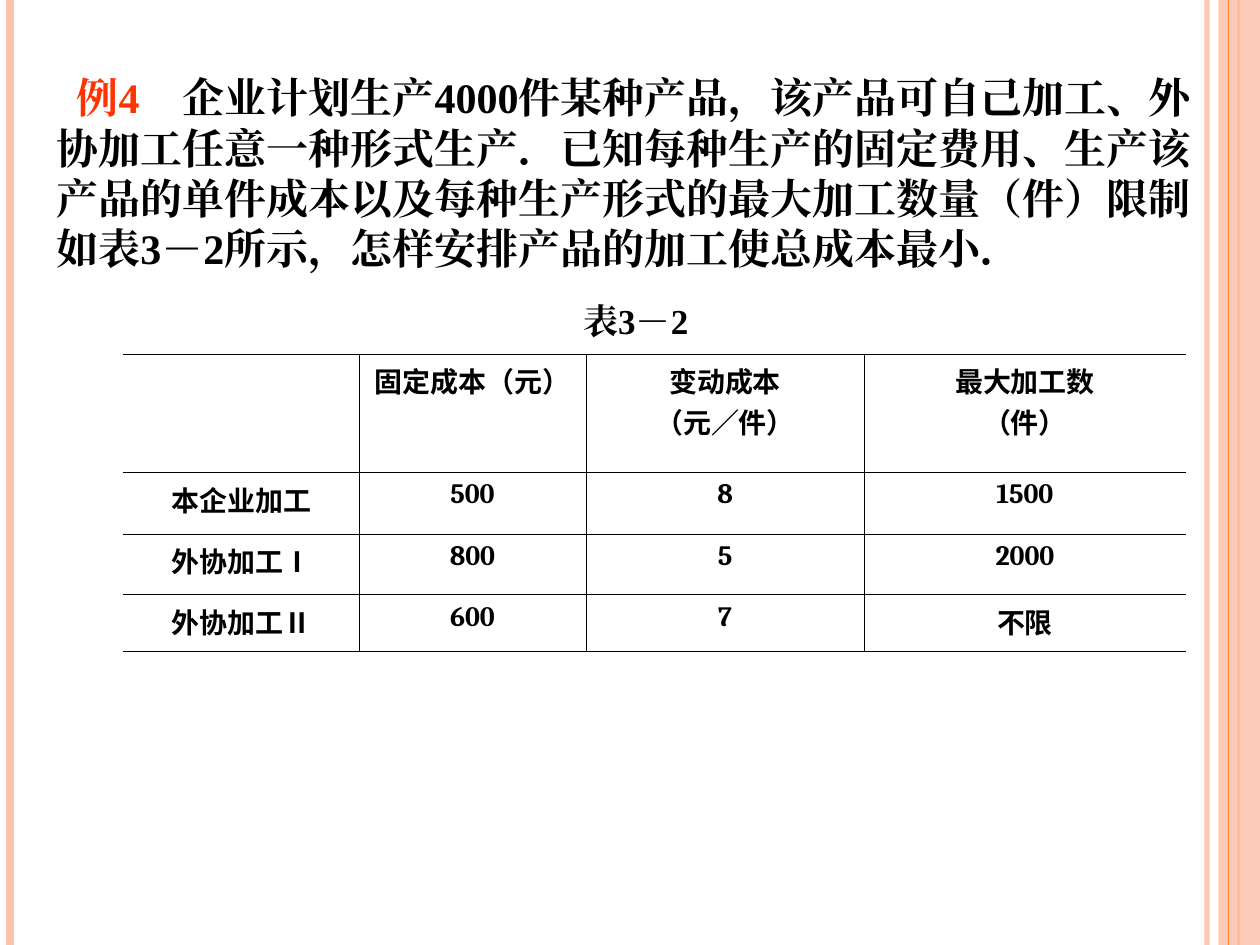
from lxml import etree
from pptx import Presentation
from pptx import util as u
from pptx.dml.color import RGBColor
from pptx.enum import shapes, text
from pptx.oxml.ns import qn

COLORS = {"peach": "FEC3AE", "orange": "FE8637", "red": "FF3300", "black": "000000"}
SERIF = "Times New Roman"
TABLE_FONT = "Cambria"
CHINESE = "Noto Sans CJK SC"

RULES = [
    (9.58, "peach", 3, 93),
    (0.08, "peach", 4.5, 100),
    (9.83, "orange", 1.5, 100),
]
PROBLEM = (
    "企业计划生产4000件某种产品，该产品可自己加工、外协加工任意一种形式生产．"
    "已知每种生产的固定费用、生产该产品的单件成本以及每种生产形式的最大加工数量（件）"
    "限制如表3－2所示，怎样安排产品的加工使总成本最小．"
)
COLUMNS = [1.87, 1.8, 2.21, 2.55]
ROWS = [0.94, 0.49, 0.48, 0.45]
COSTS = [
    ["", "固定成本（元）", "变动成本\n（元／件）", "最大加工数\n（件）"],
    ["本企业加工", "500", "8", "1500"],
    ["外协加工Ⅰ", "800", "5", "2000"],
    ["外协加工Ⅱ", "600", "7", "不限"],
]


def rgb(name):
    return RGBColor.from_string(COLORS[name])


def set_alpha(element, percent):
    for color in element.iter(qn("a:srgbClr")):
        etree.SubElement(color, qn("a:alpha"), val=str(percent * 1000))


def add_rule(page, x, color, width, opacity=100):
    rule = page.shapes.add_connector(
        shapes.MSO_CONNECTOR.STRAIGHT, u.Inches(x), 0, u.Inches(x), u.Inches(7.5))
    rule.line.color.rgb = rgb(color)
    rule.line.width = u.Pt(width)
    properties = rule._element.spPr
    if opacity < 100:
        set_alpha(properties, opacity)
    etree.SubElement(properties, qn("a:effectLst"))


def add_band(page):
    band = page.shapes.add_shape(
        shapes.MSO_SHAPE.RECTANGLE, u.Inches(9.67), 0, u.Inches(0.33), u.Inches(7.5))
    band.shadow.inherit = False
    band.fill.solid()
    band.fill.fore_color.rgb = rgb("peach")
    set_alpha(band._element.spPr, 87)
    band.line.fill.background()


def add_span(para, words, size, color="black", latin=SERIF, asian=SERIF):
    span = para.add_run()
    span.text = words
    style = {"name": latin, "size": u.Pt(size), "bold": True}
    for key, value in style.items():
        setattr(span.font, key, value)
    span.font.color.rgb = rgb(color)
    etree.SubElement(span._r.get_or_add_rPr(), qn("a:ea"), typeface=asian)


def add_text(page, place, spans, size):
    box = page.shapes.add_textbox(*map(u.Inches, place))
    box.text_frame.word_wrap = True
    para = box.text_frame.paragraphs[0]
    para.line_spacing = u.Pt(size * 1.2)
    for words, color in spans:
        add_span(para, words, size, color)
    return para


def indent_first_line(para, indent, stop):
    properties = para._p.get_or_add_pPr()
    properties.set("marL", "0")
    properties.set("indent", str(u.Inches(indent)))
    tabs = etree.SubElement(properties, qn("a:tabLst"))
    etree.SubElement(tabs, qn("a:tab"), pos=str(u.Inches(stop)), algn="l")


def set_borders(cell, hidden):
    properties = cell._tc.get_or_add_tcPr()
    for side in "LRTB":
        line = etree.SubElement(properties, qn(f"a:ln{side}"), w=str(u.Pt(0.45)))
        if side == hidden:
            etree.SubElement(line, qn("a:noFill"))
        else:
            fill = etree.SubElement(line, qn("a:solidFill"))
            etree.SubElement(fill, qn("a:srgbClr"), val=COLORS["black"])


def fill_cell(cell, words):
    for index, line in enumerate(words.split("\n")):
        frame = cell.text_frame
        para = frame.add_paragraph() if index else frame.paragraphs[0]
        para.alignment = text.PP_ALIGN.CENTER
        if not line:
            continue
        label, numeral = (line[:-1], line[-1]) if line[-1] in "ⅠⅡ" else (line, "")
        add_span(para, label, 16, latin=TABLE_FONT, asian=CHINESE)
        if numeral:
            add_span(para, numeral, 16, latin=CHINESE, asian=CHINESE)


def add_cost_table(page):
    place = (0.98, 2.81, sum(COLUMNS), sum(ROWS))
    table = page.shapes.add_table(
        len(ROWS), len(COLUMNS), *map(u.Inches, place)).table
    table.first_row = table.horz_banding = False
    for column, width in zip(table.columns, COLUMNS):
        column.width = u.Inches(width)
    open_sides = {0: "L", len(COLUMNS) - 1: "R"}
    for row, height, values in zip(table.rows, ROWS, COSTS):
        row.height = u.Inches(height)
        for index, (cell, words) in enumerate(zip(row.cells, values)):
            set_borders(cell, open_sides.get(index))
            cell.fill.background()
            fill_cell(cell, words)


def main():
    deck = Presentation()
    deck.slide_width, deck.slide_height = u.Inches(10), u.Inches(7.5)
    page = deck.slides.add_slide(deck.slide_layouts[6])
    for rule in RULES:
        add_rule(page, *rule)
    add_band(page)
    add_rule(page, 9.75, "orange", 0.75)
    problem = add_text(
        page, (0.35, 0.52, 9.29, 1.7), [("例4\t", "red"), (PROBLEM, "black")], 24)
    indent_first_line(problem, 0.16, 0.98)
    add_text(page, (4.53, 2.33, 1.75, 0.44), [("表3－2", "black")], 20)
    add_cost_table(page)
    deck.save("out.pptx")


if __name__ == "__main__":
    main()
